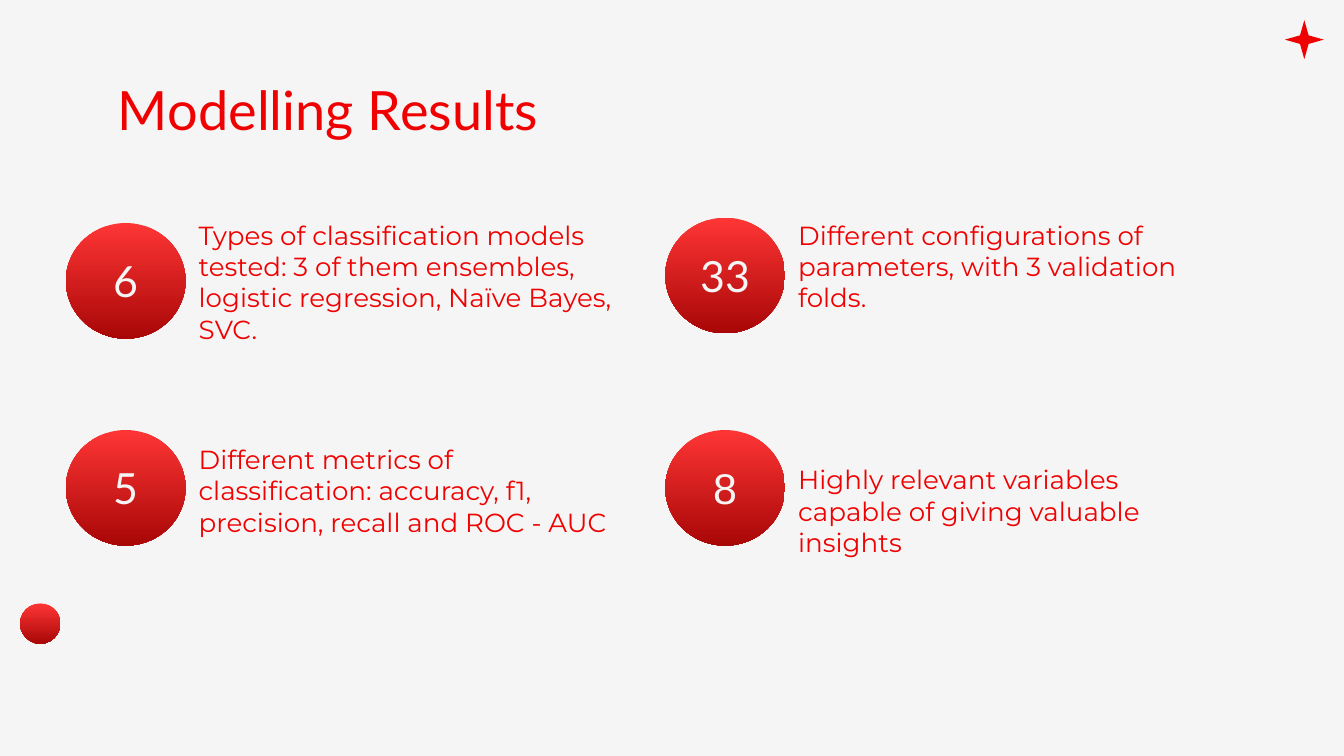
from pptx import Presentation
from pptx.dml.color import RGBColor
from pptx.enum.shapes import MSO_SHAPE
from pptx.enum.text import MSO_ANCHOR, PP_ALIGN
from pptx.util import Inches, Pt

SLIDE_WIDTH = 10
SLIDE_HEIGHT = SLIDE_WIDTH * 9 / 16

RED, LIGHT_RED, DARK_RED, PALE = "F00101", "FE3535", "A90707", "F5F5F5"
HEADING_FONT, BODY_FONT = "Lato", "Montserrat"

BADGE_WIDTH, BADGE_HEIGHT = 0.89, 0.86
NOTE_WIDTH, NOTE_HEIGHT = 3.39, 0.84
LEFT_COLUMN, RIGHT_COLUMN = 0.49, 4.95

# column, badge top, note top, number, number font, note
RESULTS = [
    (LEFT_COLUMN, 1.66, 1.53, "6", HEADING_FONT,
     "Types of classification models tested: 3 of them ensembles, "
     "logistic regression, Naïve Bayes, SVC."),
    (RIGHT_COLUMN, 1.62, 1.53, "33", HEADING_FONT,
     "Different configurations of parameters, with 3 validation folds."),
    (LEFT_COLUMN, 3.2, 3.2, "5", HEADING_FONT,
     "Different metrics of classification: accuracy, f1, "
     "precision, recall and ROC - AUC"),
    (RIGHT_COLUMN, 3.2, 3.35, "8", "Arial",
     "Highly relevant variables capable of giving valuable insights"),
]


def color(hex_string):
    return RGBColor.from_string(hex_string)


def write(shape, text, size, font, hex_string, align=PP_ALIGN.LEFT,
          anchor=MSO_ANCHOR.TOP):
    frame = shape.text_frame
    frame.word_wrap = True
    frame.vertical_anchor = anchor
    frame.margin_left = frame.margin_right = Inches(0.1)
    frame.margin_top = frame.margin_bottom = Inches(0.1)
    para = frame.paragraphs[0]
    para.alignment = align
    span = para.add_run()
    span.text = text
    span.font.size = Pt(size)
    span.font.name = font
    span.font.color.rgb = color(hex_string)


def add_text(page, left, top, width, height, text, size, font):
    box = page.shapes.add_textbox(
        Inches(left), Inches(top), Inches(width), Inches(height))
    write(box, text, size, font, RED)


def add_ball(page, left, top, width, height):
    """Ellipse shaded from light red at the top to dark red at the bottom."""
    ball = page.shapes.add_shape(
        MSO_SHAPE.OVAL, Inches(left), Inches(top), Inches(width), Inches(height))
    ball.shadow.inherit = False
    ball.line.fill.background()
    ball.fill.gradient()
    ball.fill.gradient_angle = 270
    for stop, shade in zip(ball.fill.gradient_stops, (LIGHT_RED, DARK_RED)):
        stop.color.rgb = color(shade)
    return ball


def add_sparkle(page, left, top, size):
    """Four-pointed star filling a square box."""
    middle, notch = size / 2, size * 0.11
    near, far = middle - notch, middle + notch
    points = [(middle, 0), (near, near), (0, middle), (near, far),
              (middle, size), (far, far), (size, middle), (far, near)]
    corners = [(Inches(left + x), Inches(top + y)) for x, y in points]
    builder = page.shapes.build_freeform(*corners[0])
    builder.add_line_segments(corners[1:], close=True)
    sparkle = builder.convert_to_shape()
    sparkle.shadow.inherit = False
    sparkle.fill.solid()
    sparkle.fill.fore_color.rgb = color(RED)
    sparkle.line.fill.background()


def add_result(page, left, badge_top, note_top, number, number_font, note):
    add_text(page, left + BADGE_WIDTH, note_top, NOTE_WIDTH, NOTE_HEIGHT,
             note, 14, BODY_FONT)
    badge = add_ball(page, left, badge_top, BADGE_WIDTH, BADGE_HEIGHT)
    write(badge, number, 23, number_font, PALE,
          PP_ALIGN.CENTER, MSO_ANCHOR.MIDDLE)


def main():
    deck = Presentation()
    deck.slide_width, deck.slide_height = Inches(SLIDE_WIDTH), Inches(SLIDE_HEIGHT)
    page = deck.slides.add_slide(deck.slide_layouts[6])
    page.background.fill.solid()
    page.background.fill.fore_color.rgb = color(PALE)

    add_ball(page, 0.15, 4.49, 0.3, 0.3)
    add_sparkle(page, 9.56, 0.15, 0.29)
    add_text(page, 0.78, 0.47, 8.44, 0.51, "Modelling Results", 29, HEADING_FONT)
    for result in RESULTS:
        add_result(page, *result)
    deck.save("out.pptx")


if __name__ == "__main__":
    main()
